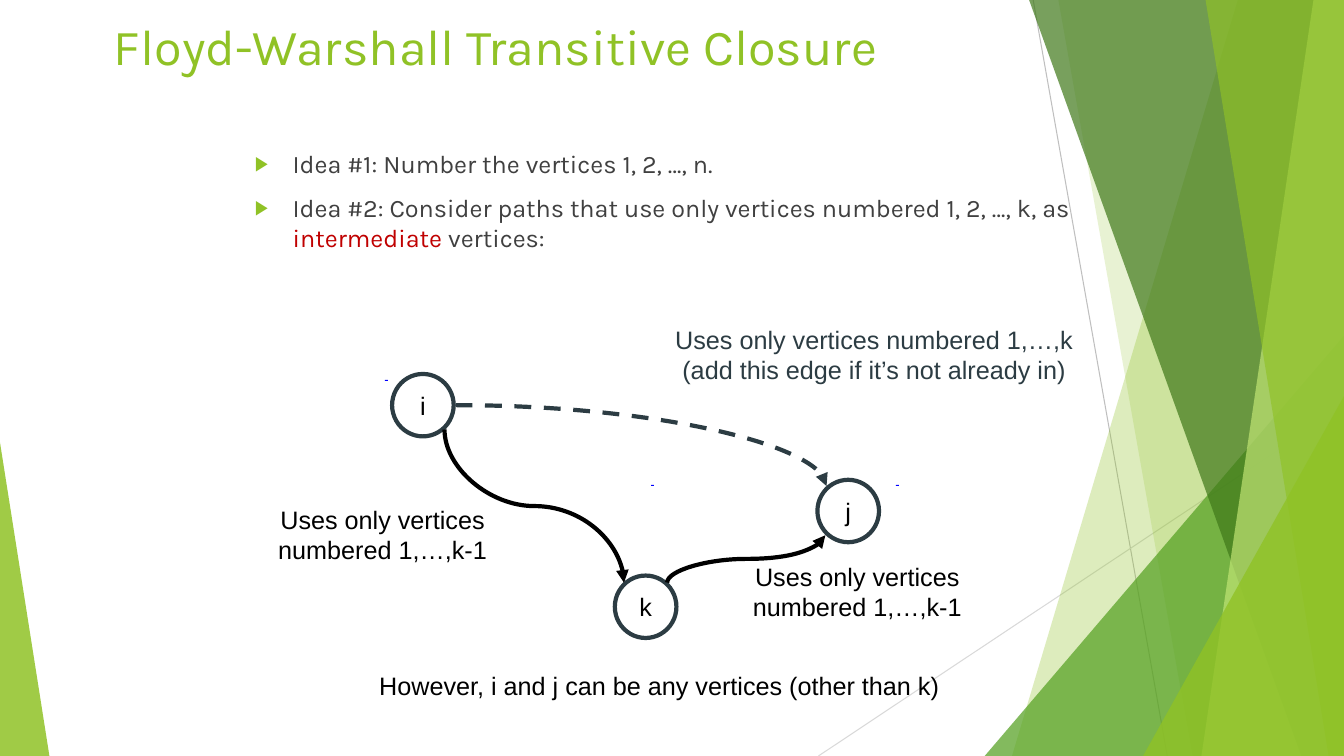
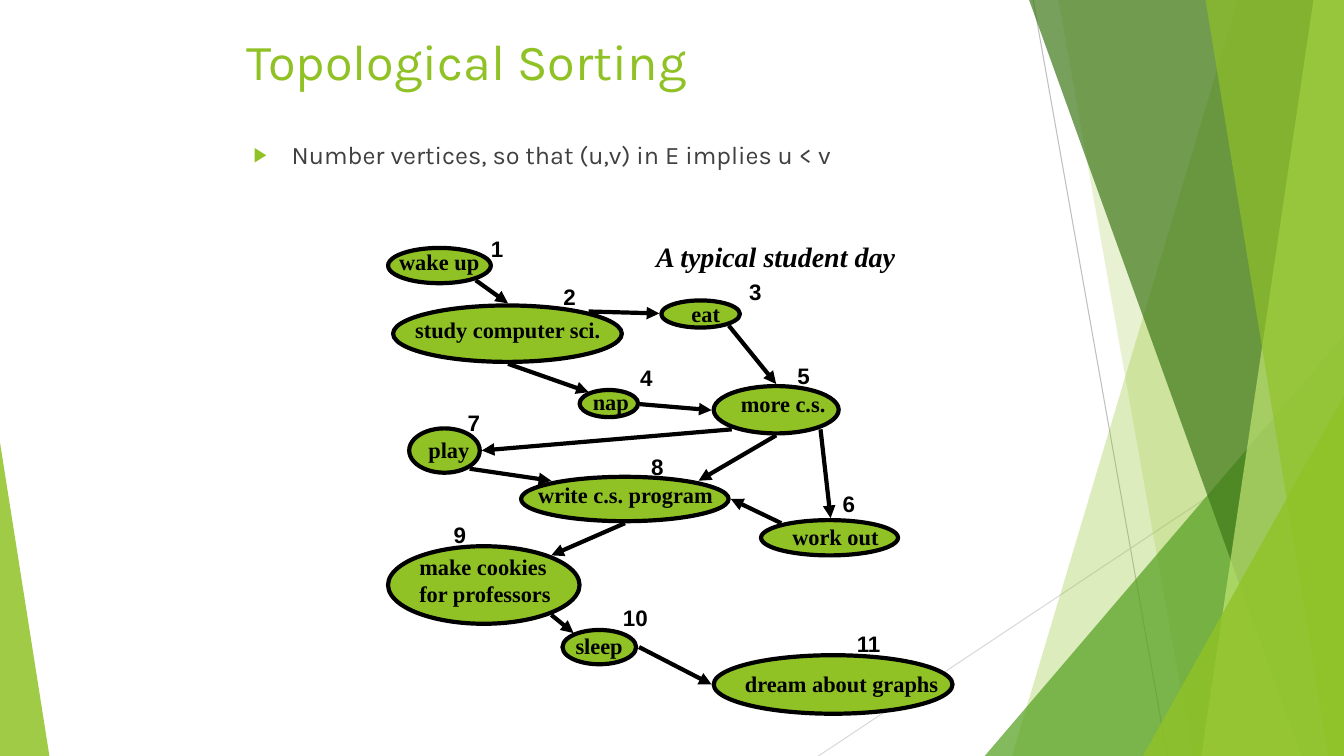
from lxml import etree
from pptx import Presentation
from pptx.dml.color import RGBColor
from pptx.enum import dml, shapes, text
from pptx.oxml.ns import qn
from pptx.util import Pt

HUES = {
    "lime": "90C226", "leaf": "54A021", "moss": "3F7819", "pale": "C0E474",
    "slate": "2C3C43", "ink": "404040", "black": "000000", "white": "FFFFFF",
    "red": "C00000", "blue": "0000FF", "gray": "BFBFBF", "mist": "D9D9D9",
}
RGB = {name: RGBColor.from_string(code) for name, code in HUES.items()}
KIND = shapes.MSO_SHAPE
LINK = shapes.MSO_CONNECTOR
LEFT, MID = text.PP_ALIGN.LEFT, text.PP_ALIGN.CENTER


def wire(page, kind, ends, hue="black", width=3, arrow=True, dash=False):
    link = page.shapes.add_connector(kind, *[Pt(n) for n in ends])
    link.line.color.rgb = RGB[hue]
    link.line.width = Pt(width)
    if dash:
        link.line.dash_style = dml.MSO_LINE.DASH
    props = link._element.spPr
    if arrow:
        etree.SubElement(props.find(qn("a:ln")), qn("a:tailEnd"), type="triangle")
    etree.SubElement(props, qn("a:effectLst"))
    return link


def say(frame, words, face, size, hue, align=LEFT, bold=False, slant=False):
    frame.text = words
    for para in frame.paragraphs:
        para.alignment = align
        for run in para.runs:
            font = run.font
            font.name, font.size = face, Pt(size)
            font.bold, font.italic = bold, slant
            font.color.rgb = RGB[hue]


deck = Presentation()
deck.slide_width, deck.slide_height = Pt(960), Pt(540)
look = deck.slide_layouts[5]
for spot in list(look.placeholders)[1:]:
    spot._element.getparent().remove(spot._element)
paths = deck.slides.add_slide(look)
sort = deck.slides.add_slide(look)

wire(paths, LINK.STRAIGHT, (738, 0, 833.8, 540), "gray", 0.75, False)
wire(paths, LINK.STRAIGHT, (960, 290.2, 584.6, 540), "mist", 0.75, False)
BANDS = [
    ((884.2, 722.9), "lime", 30),
    ((756, 851.8), "lime", 20),
    ((703.4, 239.8, 256.6, 300.2, 1), "leaf", 72),
    ((735.1, 929.5), "moss", 70),
    ((938.2, 858.2), "pale", 70),
    ((861.1, 949), "lime", 65),
    ((816.5, 283, 143.5, 257, 1), "lime", 80),
    ((0, 316.1, 35.3, 223.9, 0), "lime", 85),
]
for place, hue, alpha in BANDS:
    if len(place) == 2:
        top, base = place
        pen = paths.shapes.build_freeform(Pt(top), 0)
        pen.add_line_segments([(Pt(960), 0), (Pt(960), Pt(540)), (Pt(base), Pt(540))])
        band = pen.convert_to_shape()
    else:
        band = paths.shapes.add_shape(KIND.ISOSCELES_TRIANGLE, *[Pt(n) for n in place[:4]])
        band.adjustments[0] = place[4]
    band.shadow.inherit = False
    band.fill.solid()
    band.fill.fore_color.rgb = RGB[hue]
    band.line.fill.background()
    tint = band._element.spPr.find(qn("a:solidFill"))[0]
    etree.SubElement(tint, qn("a:alpha"), val=str(alpha * 1000))
for rank, part in enumerate(list(paths.shapes)[1:]):
    look.shapes._spTree.insert(2 + rank, part._element)

HEADS = [
    (paths, "Floyd-Warshall Transitive Closure", (74.2, 7.2, 627, 84)),
    (sort, "Topological Sorting", (169.2, 18, 612, 72)),
]
for page, words, box in HEADS:
    head = page.shapes.title
    head.left, head.top, head.width, head.height = [Pt(n) for n in box]
    head.text_frame.vertical_anchor = text.MSO_ANCHOR.TOP
    say(head.text_frame, words, "Karla", 36, "lime")

IDEAS = [
    (paths, (175, 102.2, 617, 131.8), [
        ["Idea #1: Number the vertices 1, 2, …, n."],
        ["Idea #2: Consider paths that use only vertices numbered 1, 2, …, k, as ",
         "intermediate", " vertices:"]]),
    (sort, (174.2, 95.8, 640.8, 59.8), [
        ["Number vertices, so that (u,v) in E implies u < v"]]),
]
for page, box, items in IDEAS:
    frame = page.shapes.add_textbox(*[Pt(n) for n in box]).text_frame
    frame.word_wrap = True
    for rank, bits in enumerate(items):
        para = frame.add_paragraph() if rank else frame.paragraphs[0]
        props = para._p.get_or_add_pPr()
        props.set("marL", str(Pt(27)))
        props.set("indent", str(-Pt(27)))
        shade = etree.SubElement(props, qn("a:buClr"))
        etree.SubElement(shade, qn("a:srgbClr"), val=HUES["lime"])
        etree.SubElement(props, qn("a:buSzPct"), val="80000")
        etree.SubElement(props, qn("a:buFont"), typeface="Arial")
        etree.SubElement(props, qn("a:buChar"), char="▶")
        if rank:
            para.space_before = Pt(10)
        para.text = bits[0]
        for bit in bits[1:]:
            para.add_run().text = bit
        for run in para.runs:
            run.font.name, run.font.size = "Karla", Pt(18)
            run.font.color.rgb = RGB["red" if run.text == "intermediate" else "ink"]

TASKS = [
    ("wake up", (277.2, 177.1, 73.4, 25.2), (285.1, 177.1, 60), (350.6, 167.8)),
    ("study computer sci.", (280.8, 218.2, 163.4, 40.3), (296.6, 226.1, 136), (402.5, 202.3)),
    ("eat", (472.3, 214.6, 56.2, 19.4), (493.9, 214.6, 24), (535, 198.7)),
    ("nap", (414, 278.6, 41.8, 19.4), (423.4, 277.2, 49), (457.2, 259.9)),
    ("more c.s.", (509.8, 275.8, 89.3, 33.8), (529.2, 278.6, 64), (569.5, 258.5)),
    ("work out", (543.6, 371.5, 97.9, 25.2), (565.9, 373.7, 65), (601.9, 349.9)),
    ("play", (292.3, 306, 50.4, 31.7), (306, 311.8, 33), (334.1, 292.3)),
    ("write c.s. program", (372.2, 340.6, 148.3, 31.7), (384.5, 343.4, 128), (465.1, 324)),
    ("make cookies for professors", (277.2, 390.2, 136.8, 55.4), (299.5, 395.3, 109.4), (324, 372.2)),
    ("sleep", (401.8, 450, 52.6, 24.5), (411.1, 451.4, 38), (445, 431.3)),
    ("dream about graphs", (509.8, 468, 170.6, 41.8), (532.1, 478.8, 142), (612, 450)),
]
KNOTS = [("k", 439.2, 411.1), ("j", 583.9, 342.7), ("i", 280.1, 267.1)]
DOTS = [(paths, KIND.RECTANGLE, (x, y, 2, 0.7), "blue", None, "")
        for x, y in ((275, 271.4), (465.1, 346.3), (640, 346.3))]
DOTS += [(paths, KIND.OVAL, (x, y, 44, 44.6), "white", "slate", name) for name, x, y in KNOTS]
DOTS += [(sort, KIND.OVAL, task[1], "lime", "black", "") for task in TASKS]
for page, kind, box, hue, edge, words in DOTS:
    dot = page.shapes.add_shape(kind, *[Pt(n) for n in box])
    dot.shadow.inherit = False
    dot.fill.solid()
    dot.fill.fore_color.rgb = RGB[hue]
    if edge:
        dot.line.color.rgb = RGB[edge]
        dot.line.width = Pt(3)
    else:
        dot.line.fill.background()
    if words:
        dot.text_frame.word_wrap = False
        dot.text_frame.vertical_anchor = text.MSO_ANCHOR.MIDDLE
        say(dot.text_frame, words, "Arial", 18, "black", MID)

CURVES = [
    ((326.9, 297.4, 109.4, 128.2), 270, True, "curvedConnector3", "black"),
    ((516.2, 342.7, 33.8, 113), 270, False, "curvedConnector3", "black"),
    ((325.4, 289.4, 265, 57.8), 0, False, "curvedConnector2", "slate"),
]
for (x, y, w, h), turn, flip, form, hue in CURVES:
    link = wire(paths, LINK.CURVE, (x, y, x + w, y + h), hue, dash=hue == "slate")
    props = link._element.spPr
    props.find(qn("a:prstGeom")).set("prst", form)
    if turn:
        props.find(qn("a:xfrm")).set("rot", str(turn * 60000))
    if flip:
        props.find(qn("a:xfrm")).set("flipH", "1")

STEPS = [
    (339.8, 200.2, 362.9, 216.7), (420.5, 222.5, 470.9, 223.9),
    (362.9, 259.9, 420.5, 280.1), (520.6, 232.6, 554.4, 274.3),
    (457.2, 288.7, 508.3, 293), (554.4, 311, 499, 343.4),
    (522.7, 306.7, 344.2, 321.8), (586.1, 306.7, 593.3, 370.1),
    (558, 373.7, 522, 356.4), (335.5, 334.8, 393.8, 343.4),
    (446.4, 373.7, 393.8, 396.7), (393.8, 439.2, 409.7, 452.2),
    (456.5, 462.2, 508.3, 488.9),
]
for step in STEPS:
    wire(sort, LINK.STRAIGHT, step)

PAIR = "Uses only vertices\nnumbered 1,…,k-1"
SANS = ("Arial", 18, "black", MID)
BOLD = (16, "black", LEFT, True)
NOTES = [
    (paths, PAIR, (190.8, 356.4, 164.9, 51), SANS, False),
    (paths, PAIR, (529.9, 397.4, 164.9, 51), SANS, False),
    (paths, "Uses only vertices numbered 1,…,k\n(add this edge if it’s not already in)",
     (473.8, 228.2, 301, 51), ("Arial", 18, "slate", MID), False),
    (paths, "However, i and j can be any vertices (other than k)",
     (216, 475.2, 509.8, 29), SANS, True),
    (sort, "A typical student day", (468.7, 171.4, 175, 23.8),
     ("Times New Roman", 20, "black", LEFT, True, True), False),
]
for rank, (words, oval, (x, y, w), (left, top)) in enumerate(TASKS, 1):
    long = words.startswith("make")
    tall = 38.8 if long else 19.4
    wide = 10 * len(str(rank))
    NOTES.append((sort, words, (x, y, w, tall), ("Times New Roman", *BOLD), long))
    NOTES.append((sort, str(rank), (left, top, wide, 19.4), ("Arial", *BOLD), False))
for page, words, box, style, wrap in NOTES:
    frame = page.shapes.add_textbox(*[Pt(n) for n in box]).text_frame
    frame.word_wrap = wrap
    if page is sort:
        frame.margin_left = frame.margin_right = frame.margin_top = frame.margin_bottom = 0
    say(frame, words, *style)

deck.save("out.pptx")
